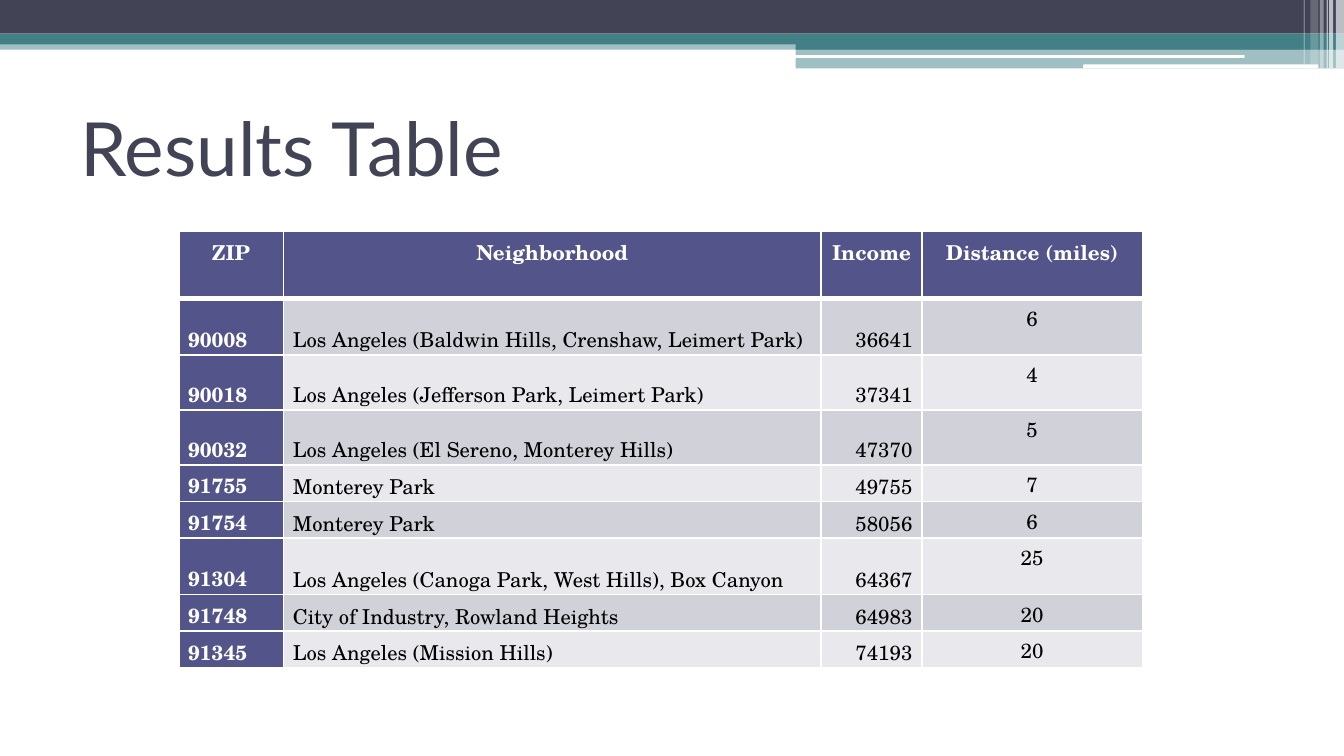
import pptx
import pptx.util
import pptx.dml.color
import pptx.enum.shapes
import pptx.enum.text
import pptx.oxml
import pptx.oxml.ns

Inches = pptx.util.Inches
Pt = pptx.util.Pt
RGB = pptx.dml.color.RGBColor
Kind = pptx.enum.shapes.MSO_SHAPE
Align = pptx.enum.text.PP_ALIGN
Anchor = pptx.enum.text.MSO_ANCHOR
qn = pptx.oxml.ns.qn
NS = pptx.oxml.ns.nsdecls("a")

WHITE = RGB(0xFF, 0xFF, 0xFF)
BLACK = RGB(0, 0, 0)
SLATE = RGB(0x42, 0x44, 0x56)
TEAL = RGB(0x43, 0x80, 0x86)
INDIGO = RGB(0x53, 0x54, 0x8A)
DARK = RGB(0xD1, 0xD1, 0xDA)
LIGHT = RGB(0xE9, 0xE9, 0xED)


def add_bar(box, color, alpha=100, kind=Kind.RECTANGLE):
    bar = slide.shapes.add_shape(kind, *map(Inches, box))
    bar.shadow.inherit = False
    bar.line.fill.background()
    bar.fill.solid()
    bar.fill.fore_color.rgb = color
    if alpha < 100:
        tint = bar._element.spPr.find(qn("a:solidFill"))[0]
        tint.append(pptx.oxml.parse_xml(f'<a:alpha {NS} val="{alpha * 1000}"/>'))


def add_edge(cell, side, width):
    cell._tc.get_or_add_tcPr().append(pptx.oxml.parse_xml(
        f'<a:{side} {NS} w="{Pt(width)}"><a:solidFill><a:srgbClr val="{WHITE}"/>'
        f'</a:solidFill></a:{side}>'))


# Widescreen slide, 16 to 9
deck = pptx.Presentation()
deck.slide_width = Inches(10)
deck.slide_height = Inches(10 * 9 / 16)
slide = deck.slides.add_slide(deck.slide_layouts[5])

# Header band
add_bar((0, 0.3, 10, 0.07), TEAL, 50)
add_bar((0, 0, 10, 0.25), SLATE)
add_bar((0, 0.25, 10, 0.08), TEAL)
add_bar((5.92, 0.3, 4.08, 0.07), TEAL)
add_bar((5.92, 0.36, 4.08, 0.15), TEAL, 50)
for box in ((5.91, 0.41, 3.35, 0.02), (8.06, 0.48, 1.75, 0.03)):
    add_bar(box, WHITE, kind=Kind.ROUNDED_RECTANGLE)

# Pale stripes at the right end: left, width, height, opacity
for left, width, height, alpha in (
        (9.94, 0.06, 0.51, 65), (9.89, 0.03, 0.51, 65), (9.87, 0.01, 0.51, 60),
        (9.82, 0.03, 0.51, 40), (9.75, 0.06, 0.48, 20), (9.7, 0.01, 0.48, 30)):
    add_bar((left, 0, width, height), WHITE, alpha)

# Title
title = slide.shapes.title
title.left, title.top, title.width, title.height = map(Inches, (0.5, 0.65, 9, 0.88))
title.text_frame.text = "Results Table"
title.text_frame.vertical_anchor = Anchor.MIDDLE
para = title.text_frame.paragraphs[0]
para.alignment = Align.LEFT
para.font.name, para.font.size = "Lato", Pt(40)
para.font.color.rgb = SLATE

# Results table
rows = (
    ("ZIP", "Neighborhood", "Income", "Distance (miles)"),
    ("90008", "Los Angeles (Baldwin Hills, Crenshaw, Leimert Park)", "36641", "6"),
    ("90018", "Los Angeles (Jefferson Park, Leimert Park)", "37341", "4"),
    ("90032", "Los Angeles (El Sereno, Monterey Hills)", "47370", "5"),
    ("91755", "Monterey Park", "49755", "7"),
    ("91754", "Monterey Park", "58056", "6"),
    ("91304", "Los Angeles (Canoga Park, West Hills), Box Canyon", "64367", "25"),
    ("91748", "City of Industry, Rowland Heights", "64983", "20"),
    ("91345", "Los Angeles (Mission Hills)", "74193", "20"),
)
widths = (0.78, 4, 0.75, 1.64)
heights = (0.5, 0.42, 0.41, 0.41, 0.21, 0.21, 0.42, 0.21, 0.21)
aligns = (Align.LEFT, Align.LEFT, Align.RIGHT, Align.CENTER)
table = slide.shapes.add_table(len(rows), len(widths), Inches(1.33), Inches(1.72),
                               Inches(sum(widths)), Inches(sum(heights))).table
for col, width in zip(table.columns, widths):
    col.width = Inches(width)

for r, row in enumerate(rows):
    table.rows[r].height = Inches(heights[r])
    for c, text in enumerate(row):
        cell = table.cell(r, c)
        head = r == 0 or c == 0
        cell.margin_left = cell.margin_right = Inches(0.07)
        cell.margin_top = cell.margin_bottom = 0
        cell.vertical_anchor = Anchor.TOP if r == 0 or c == 3 else Anchor.BOTTOM
        # The rule below the header row is heavier
        for side in ("lnL", "lnR", "lnT", "lnB"):
            heavy = (r, side) in ((0, "lnB"), (1, "lnT"))
            add_edge(cell, side, 3 if heavy else 1)
        cell.fill.solid()
        cell.fill.fore_color.rgb = INDIGO if head else DARK if r % 2 else LIGHT
        cell.text = text
        para = cell.text_frame.paragraphs[0]
        para.alignment = Align.CENTER if r == 0 else aligns[c]
        para.line_spacing = 1.15
        para.font.name, para.font.size = "TeX Gyre Schola", Pt(11)
        para.font.bold = head
        para.font.color.rgb = WHITE if head else BLACK

deck.save("out.pptx")
